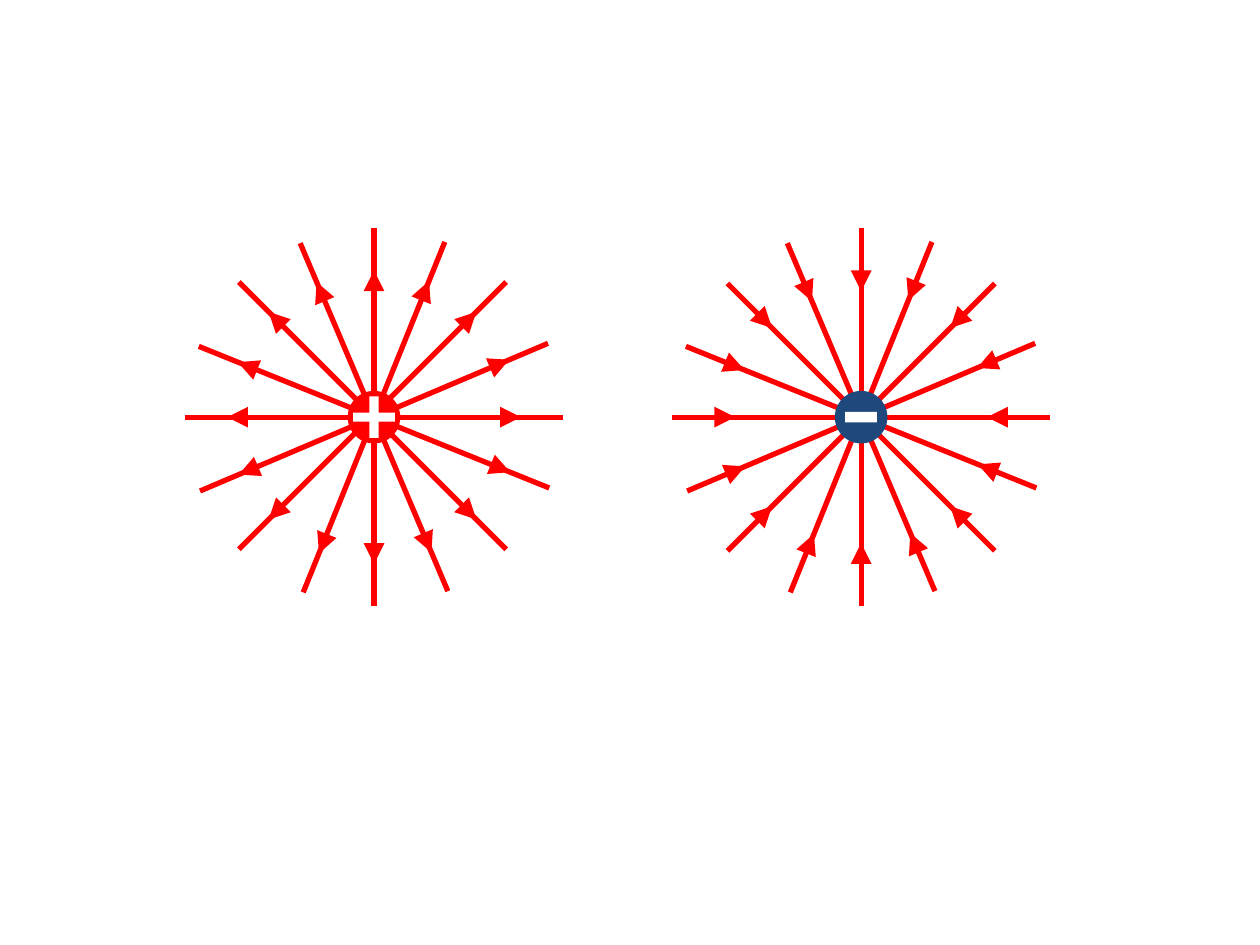
import math
from pptx import Presentation
from pptx.dml.color import RGBColor
from pptx.enum import shapes as sh
from pptx.oxml.ns import qn
from pptx.util import Cm, Pt
from lxml import etree

# Content: centre x, colour, sign shape, sign size, head turn, diagonal nudge
RED, BLUE, WHITE = "FF0000", "1F497D", "FFFFFF"
KIND = sh.MSO_SHAPE
CHARGES = [
    dict(x=7.54, hue=RED, sign=KIND.CROSS, size=(0.84, 0.84),
         turn=0, nudge=-0.03),
    dict(x=17.36, hue=BLUE, sign=KIND.RECTANGLE, size=(0.64, 0.21),
         turn=180, nudge=0),
]

# Measures in cm; angles in whole degrees, clockwise from the top
MID = 8.41
REACH, RING = 3.81, 2.75
HEAD, BALL = 0.42, 1.06
RAYS = 16
ANGLES = [math.floor(k * 360 / RAYS) for k in range(-4, RAYS - 4)]


def color(code):
    return RGBColor.from_string(code)


def polar(charge, angle, dist):
    rad = math.radians(angle)
    nudge = charge["nudge"] if angle % 90 == 45 else 0
    return (charge["x"] + nudge + dist * math.sin(rad),
            MID + nudge - dist * math.cos(rad))


def add_line(group, start, end):
    line = group.shapes.add_connector(
        sh.MSO_CONNECTOR.STRAIGHT, *map(Cm, start + end))
    line.line.color.rgb = color(RED)
    line.line.width = Pt(3)
    etree.SubElement(line._element.spPr, qn("a:effectLst"))


def add_mark(group, kind, center, size, hue, turn=0):
    (x, y), (w, h) = center, size
    mark = group.shapes.add_shape(
        kind, Cm(x - w / 2), Cm(y - h / 2), Cm(w), Cm(h))
    mark.rotation = turn
    mark.fill.solid()
    mark.fill.fore_color.rgb = color(hue)
    mark.line.fill.background()
    mark.shadow.inherit = False
    return mark


def add_charge(slide, charge):
    group = slide.shapes.add_group_shape()
    center = charge["x"], MID

    # Field lines run right through the centre
    for angle in ANGLES[:RAYS // 2]:
        add_line(group, polar(charge, angle, REACH),
                 polar(charge, angle + 180, REACH))

    # Arrowheads sit on a ring
    for angle in ANGLES:
        add_mark(group, KIND.ISOSCELES_TRIANGLE, polar(charge, angle, RING),
                 (HEAD, HEAD), RED, (angle + charge["turn"]) % 360)

    # Charge and its sign
    add_mark(group, KIND.OVAL, center, (BALL, BALL), charge["hue"])
    sign = add_mark(group, charge["sign"], center, charge["size"], WHITE)
    if charge["sign"] == KIND.CROSS:
        sign.adjustments[0] = 0.39


def main():
    deck = Presentation()
    deck.slide_width, deck.slide_height = Cm(25.4), Cm(19.05)
    slide = deck.slides.add_slide(deck.slide_layouts[6])
    for charge in CHARGES:
        add_charge(slide, charge)
    deck.save("out.pptx")


if __name__ == "__main__":
    main()
